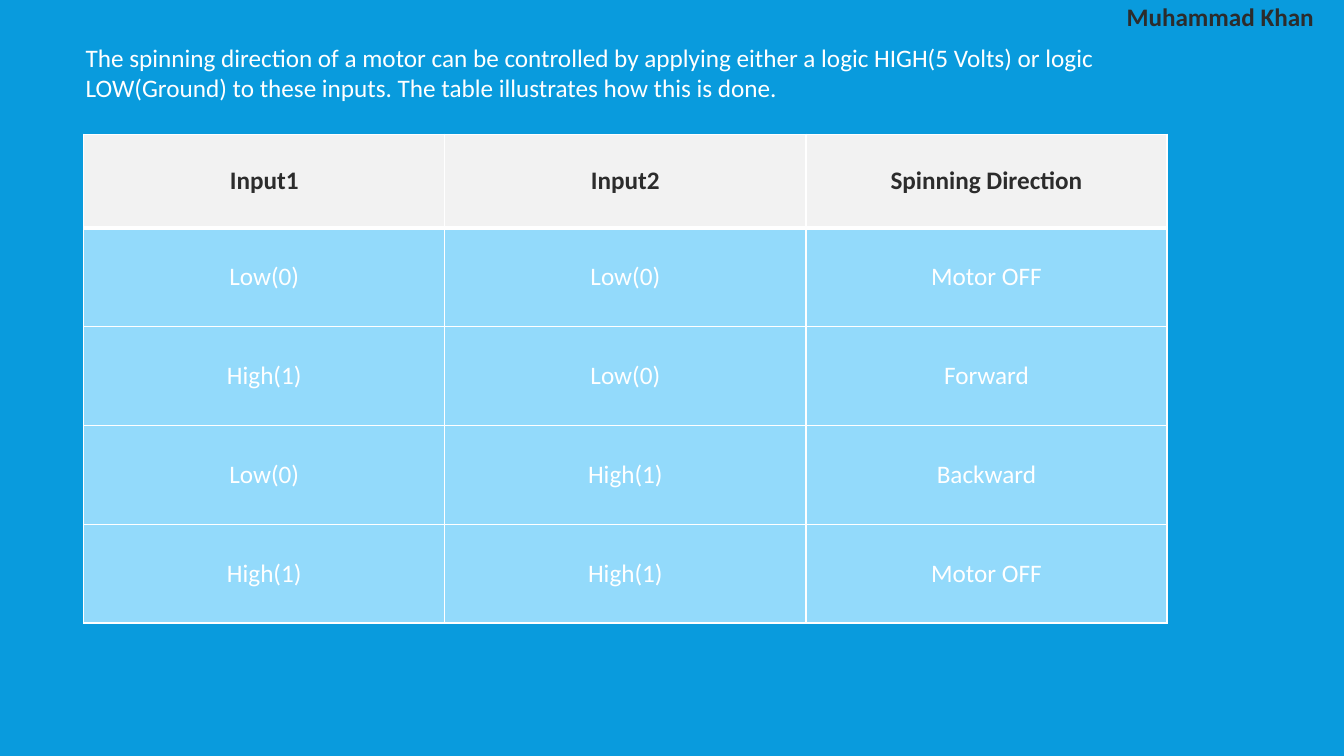
from dataclasses import dataclass
from typing import Any

import pptx
import pptx.dml.color
import pptx.enum.text
import pptx.oxml.ns
import pptx.util
from lxml import etree

Cm = pptx.util.Cm
Pt = pptx.util.Pt
RGBColor = pptx.dml.color.RGBColor

BLUE = RGBColor(0x09, 0x9B, 0xDD)
LIGHT_BLUE = RGBColor(0x93, 0xDA, 0xFB)
LIGHT_GRAY = RGBColor(0xF2, 0xF2, 0xF2)
DARK = RGBColor(0x2C, 0x2C, 0x2C)
WHITE = RGBColor(0xFF, 0xFF, 0xFF)

CELL_FORMAT = {
    "vertical_anchor": pptx.enum.text.MSO_ANCHOR.MIDDLE,
    "margin_left": Cm(0.13),
    "margin_top": Cm(0.13),
    "margin_right": Cm(0.13),
    "margin_bottom": Cm(0.13),
}


@dataclass
class Label:
    text: str
    left: float
    top: float
    width: float
    height: float
    color: RGBColor
    bold: bool
    wrap: bool


@dataclass
class RowStyle:
    fill: RGBColor
    color: RGBColor
    bold: bool
    height: float
    top_line: float
    bottom_line: float


LABELS = [
    Label(
        "The spinning direction of a motor can be controlled by applying either a logic "
        "HIGH(5 Volts) or logic LOW(Ground) to these inputs. "
        "The table illustrates how this is done.",
        1.91, 0.94, 28.14, 1.8, WHITE, False, True,
    ),
    Label("Muhammad Khan", 28.14, -0.1, 5.44, 1.02, DARK, True, False),
]

HEADER = RowStyle(LIGHT_GRAY, DARK, True, 2.36, 1, 3)
FIRST = RowStyle(LIGHT_BLUE, WHITE, False, 2.49, 3, 1)
BODY = RowStyle(LIGHT_BLUE, WHITE, False, 2.49, 1, 1)

MOTOR_ROWS = [
    (HEADER, ("Input1", "Input2", "Spinning Direction")),
    (FIRST, ("Low(0)", "Low(0)", "Motor OFF")),
    (BODY, ("High(1)", "Low(0)", "Forward")),
    (BODY, ("Low(0)", "High(1)", "Backward")),
    (BODY, ("High(1)", "High(1)", "Motor OFF")),
]
COLUMN_WIDTH = 9.1


def set_format(target: Any, values: dict[str, Any]) -> None:
    for name, value in values.items():
        setattr(target, name, value)


def write_text(tf: Any, text: str, color: RGBColor, bold: bool) -> None:
    r = tf.paragraphs[0].add_run()
    r.text = text
    set_format(r.font, {"name": "Calibri", "size": Pt(18), "bold": bold})
    r.font.color.rgb = color


def add_label(s: Any, label: Label) -> None:
    sp = s.shapes.add_textbox(
        Cm(label.left), Cm(label.top), Cm(label.width), Cm(label.height)
    )
    tf = sp.text_frame
    set_format(tf, {
        "word_wrap": label.wrap,
        "auto_size": pptx.enum.text.MSO_AUTO_SIZE.SHAPE_TO_FIT_TEXT,
    })
    write_text(tf, label.text, label.color, label.bold)


def add_borders(cell: Any, style: RowStyle) -> None:
    qn = pptx.oxml.ns.qn
    tc_pr = cell._tc.get_or_add_tcPr()
    widths = {"lnL": 1, "lnR": 1, "lnT": style.top_line, "lnB": style.bottom_line}
    for side, width in widths.items():
        ln = etree.SubElement(tc_pr, qn(f"a:{side}"), w=str(Pt(width)))
        fill = etree.SubElement(ln, qn("a:solidFill"))
        etree.SubElement(fill, qn("a:srgbClr"), val=str(WHITE))


def fill_cell(cell: Any, text: str, style: RowStyle) -> None:
    set_format(cell, CELL_FORMAT)
    add_borders(cell, style)
    cell.fill.solid()
    cell.fill.fore_color.rgb = style.fill
    write_text(cell.text_frame, text, style.color, style.bold)
    cell.text_frame.paragraphs[0].alignment = pptx.enum.text.PP_ALIGN.CENTER


def add_motor_table(s: Any) -> None:
    column_count = len(MOTOR_ROWS[0][1])
    height = sum(style.height for style, _ in MOTOR_ROWS)
    table = s.shapes.add_table(
        len(MOTOR_ROWS), column_count,
        Cm(2.11), Cm(3.38), Cm(COLUMN_WIDTH * column_count), Cm(height),
    ).table
    for column in table.columns:
        column.width = Cm(COLUMN_WIDTH)
    for row, (style, texts) in zip(table.rows, MOTOR_ROWS):
        row.height = Cm(style.height)
        for cell, text in zip(row.cells, texts):
            fill_cell(cell, text, style)


def main() -> None:
    prs = pptx.Presentation()
    set_format(prs, {"slide_width": Cm(33.87), "slide_height": Cm(19.05)})
    s = prs.slides.add_slide(prs.slide_layouts[6])
    s.background.fill.solid()
    s.background.fill.fore_color.rgb = BLUE
    add_motor_table(s)
    for label in LABELS:
        add_label(s, label)
    prs.save("out.pptx")


if __name__ == "__main__":
    main()
